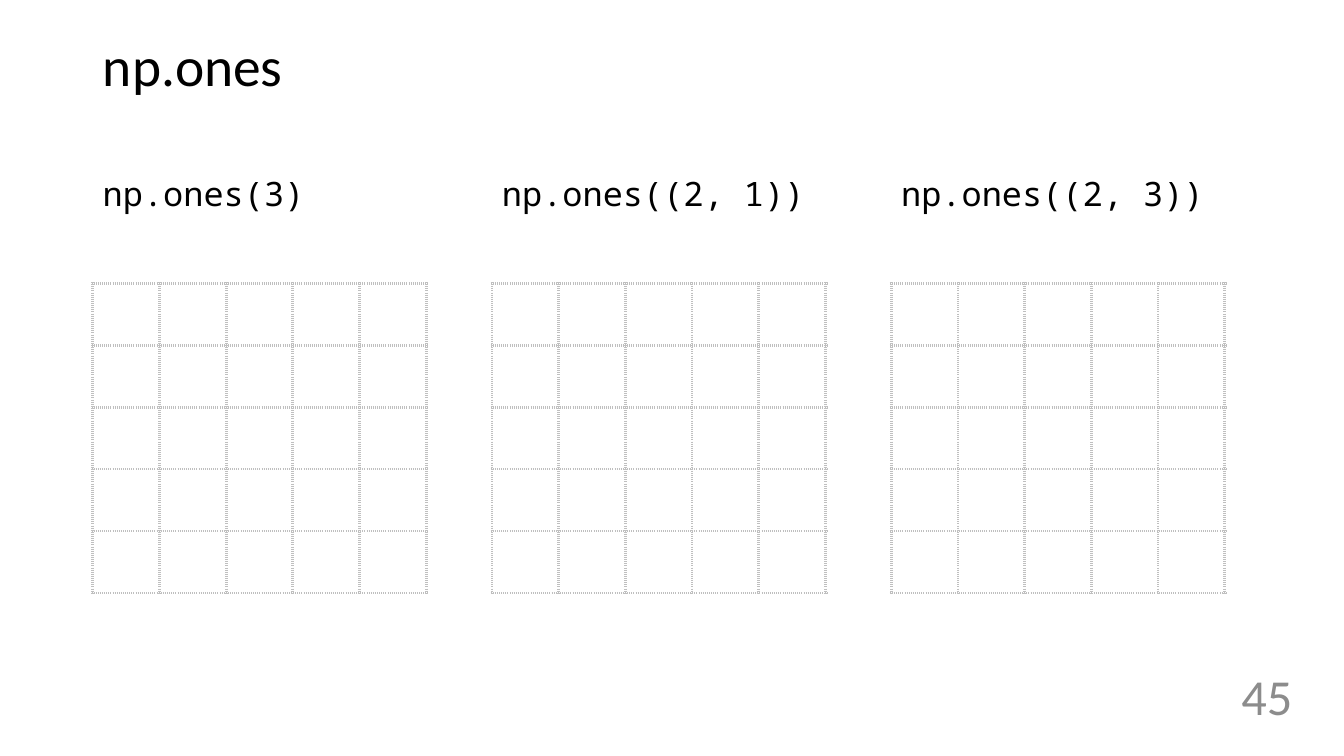
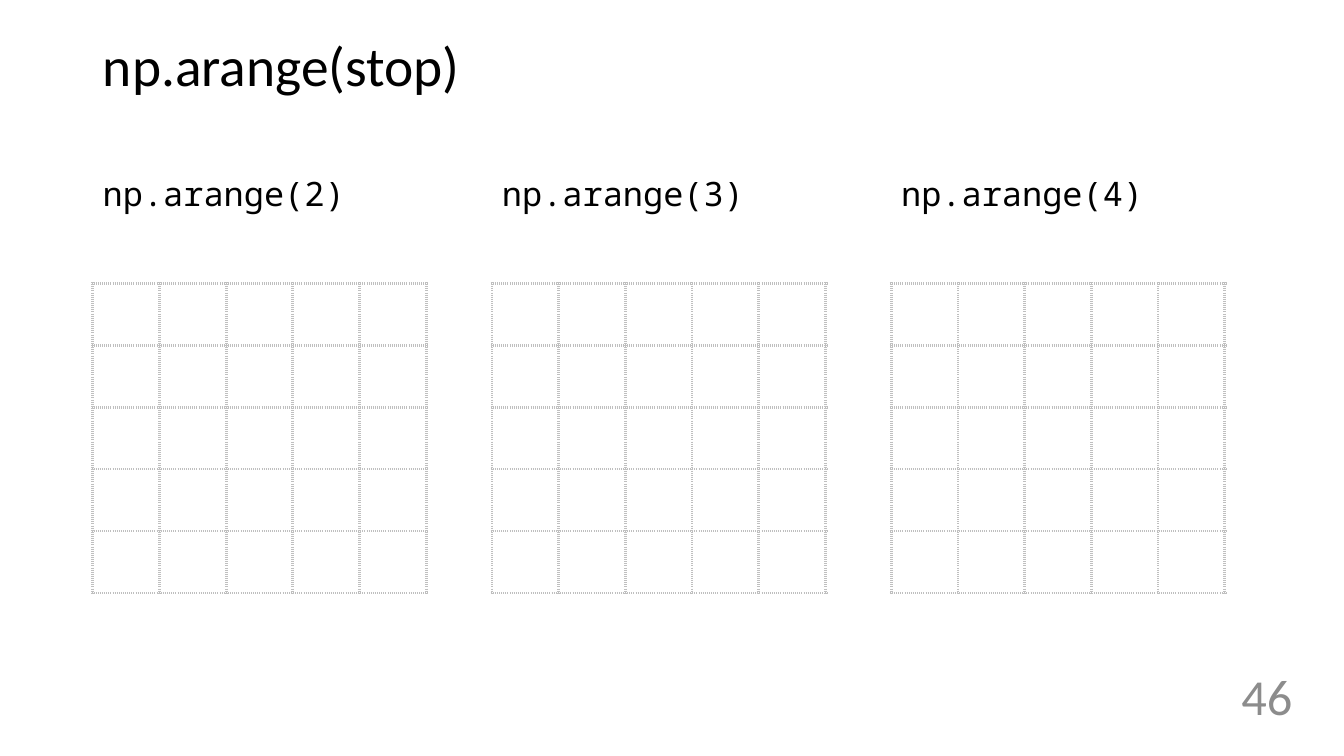
import pptx
import pptx.util
import pptx.dml.color
import pptx.enum.text
import pptx.oxml
import pptx.oxml.ns

Cm, Pt = pptx.util.Cm, pptx.util.Pt
RGBColor = pptx.dml.color.RGBColor
MSO_ANCHOR = pptx.enum.text.MSO_ANCHOR
MSO_AUTO_SIZE = pptx.enum.text.MSO_AUTO_SIZE
PP_ALIGN = pptx.enum.text.PP_ALIGN

# Shared style
BLACK = RGBColor(0x00, 0x00, 0x00)
GREY = RGBColor(0x8C, 0x8C, 0x8C)
GRID_GREY = RGBColor(0xBF, 0xBF, 0xBF)
TEXT_FONT = "Calibri"
CODE_FONT = "Noto Sans Mono"

# Shared layout, in cm
LEFT = 2.34
COLUMN_STEP = 10.06
CODE_TOP, CODE_HEIGHT = 4.24, 1.27
GRID_TOP = 7.14
GRID_SIZE = 5
CELL_WIDTH, CELL_HEIGHT = 1.68, 1.56

# Content: title, then each expression with the width of its box
FIRST_NUMBER = 45
SLIDES = [
    ("np.ones", [("np.ones(3)", 6.71),
                 ("np.ones((2, 1))", 8.15),
                 ("np.ones((2, 3))", 8.15)]),
    ("np.arange(stop)", [("np.arange(2)", 7.24),
                         ("np.arange(3)", 8.15),
                         ("np.arange(4)", 8.15)]),
]


def write(tf, text, size, font=TEXT_FONT, color=BLACK, align=PP_ALIGN.LEFT,
          anchor=MSO_ANCHOR.TOP, auto_size=MSO_AUTO_SIZE.NONE, spacing=None):
    """Fill a text frame with one formatted paragraph."""
    tf.word_wrap = True
    tf.auto_size = auto_size
    tf.vertical_anchor = anchor
    p = tf.paragraphs[0]
    p.alignment = align
    p.line_spacing = spacing
    r = p.add_run()
    r.text = text
    r.font.size = Pt(size)
    r.font.name = font
    r.font.color.rgb = color


def add_title(s, text):
    sp = s.shapes.title
    sp.left, sp.top, sp.width, sp.height = Cm(LEFT), Cm(1.02), Cm(29.21), Cm(1.4)
    write(sp.text_frame, text, 39.6, anchor=MSO_ANCHOR.MIDDLE, spacing=0.9)


def add_number(s, number):
    sp = s.shapes.add_textbox(Cm(29.64), Cm(16.43), Cm(3.18), Cm(2.18))
    write(sp.text_frame, str(number), 36, color=GREY, align=PP_ALIGN.RIGHT,
          anchor=MSO_ANCHOR.MIDDLE)


def add_code(s, left, width, text):
    sp = s.shapes.add_textbox(Cm(left), Cm(CODE_TOP), Cm(width), Cm(CODE_HEIGHT))
    write(sp.text_frame, text, 24, font=CODE_FONT,
          auto_size=MSO_AUTO_SIZE.SHAPE_TO_FIT_TEXT)


def set_borders(cell):
    """Dotted lines on all four sides, placed ahead of the cell fill."""
    tc_pr = cell._tc.get_or_add_tcPr()
    for i, side in enumerate(("lnL", "lnR", "lnT", "lnB")):
        tc_pr.insert(i, pptx.oxml.parse_xml(
            f'<a:{side} {pptx.oxml.ns.nsdecls("a")} w="{Pt(2.25)}">'
            f'<a:solidFill><a:srgbClr val="{GRID_GREY}"/></a:solidFill>'
            f'<a:prstDash val="sysDot"/></a:{side}>'))


def add_grid(s, left):
    table = s.shapes.add_table(
        GRID_SIZE, GRID_SIZE, Cm(left), Cm(GRID_TOP),
        Cm(GRID_SIZE * CELL_WIDTH), Cm(GRID_SIZE * CELL_HEIGHT)).table
    table.first_row = table.horz_banding = False
    for cell in table.iter_cells():
        cell.fill.background()
        set_borders(cell)


def main():
    prs = pptx.Presentation()
    prs.slide_width, prs.slide_height = Cm(33.87), Cm(19.05)
    title_only = prs.slide_layouts[5]
    for number, (title, expressions) in enumerate(SLIDES, FIRST_NUMBER):
        s = prs.slides.add_slide(title_only)
        add_title(s, title)
        add_number(s, number)
        for i, (code, width) in enumerate(expressions):
            left = LEFT + i * COLUMN_STEP
            add_code(s, left, width, code)
            add_grid(s, left)
    prs.save("out.pptx")


if __name__ == "__main__":
    main()
